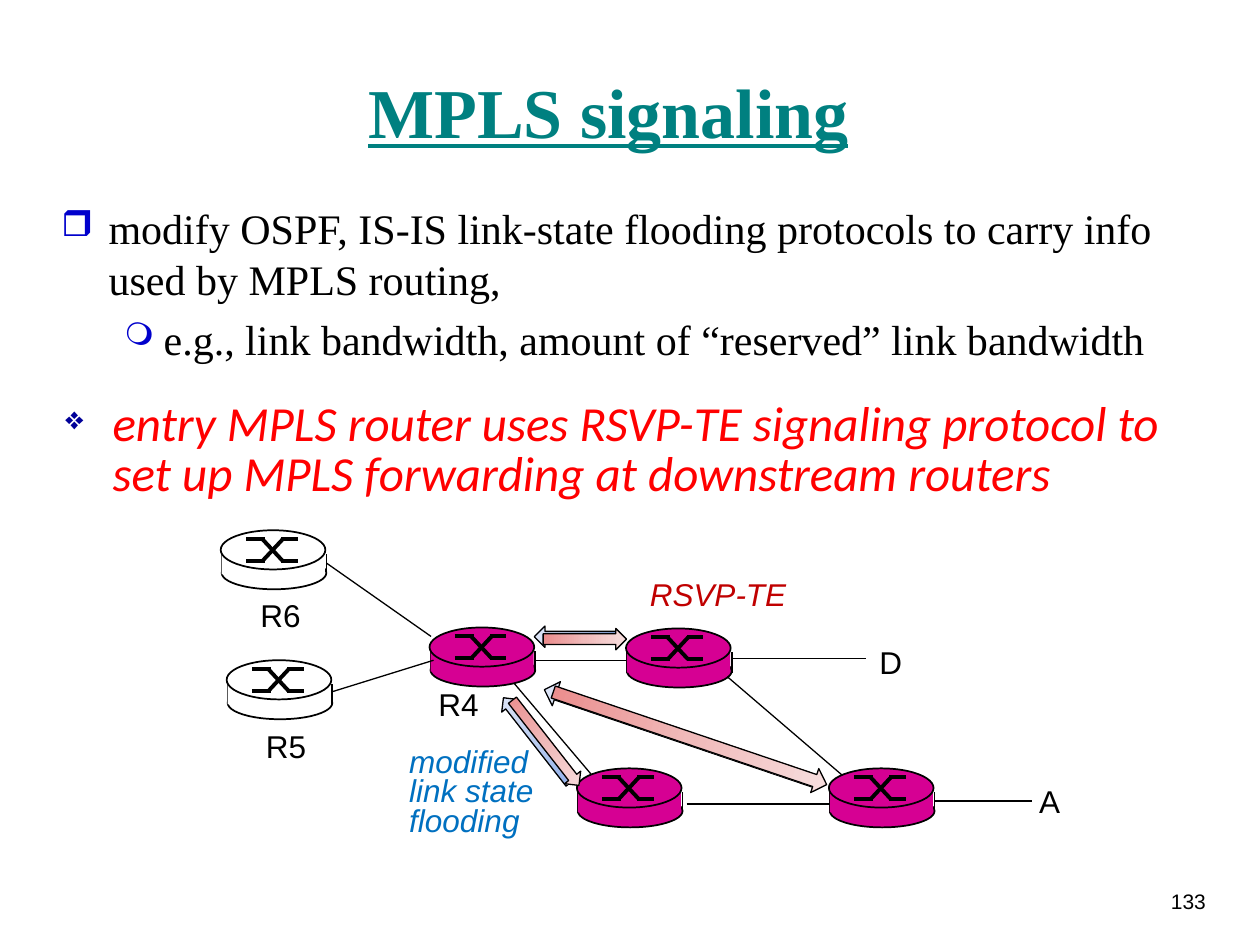
"""Build the MPLS signaling slide with its router diagram."""
import copy

import lxml.etree
import pptx
import pptx.dml.color
import pptx.enum.shapes
import pptx.enum.text
import pptx.oxml.ns
import pptx.util

Cm, Pt, qn = pptx.util.Cm, pptx.util.Pt, pptx.oxml.ns.qn
SHAPE = pptx.enum.shapes.MSO_SHAPE
ALIGN = pptx.enum.text.PP_ALIGN
COLORS = {
    "black": "000000", "white": "FFFFFF", "teal": "008080", "magenta": "D60093",
    "red": "FF0000", "dark red": "C00000", "blue": "0070C0",
    "bullet": "0000CC", "navy": "000099",
}
GRADIENTS = {
    "blue": ("8CADEA", "BACCF0", "DEE6F7"),
    "red": ("EA8C8C", "F0BABA", "F7DEDE"),
}
FONTS = {
    "title": {"name": "Times New Roman", "size": Pt(40), "bold": True, "underline": True},
    "body": {"name": "Times New Roman", "size": Pt(24)},
    "entry": {"name": "Calibri", "size": Pt(28), "italic": True},
    "label": {"name": "Arial", "size": Pt(18)},
    "note": {"name": "Arial", "size": Pt(18), "italic": True},
    "number": {"name": "Arial", "size": Pt(12)},
}


def rgb(value):
    """Return the colour for a palette name or a hex string."""
    return pptx.dml.color.RGBColor.from_string(COLORS.get(value, value))


class Deck:
    """Hold the style and the current slide, and draw each kind of element."""

    def __init__(self, width, height):
        """Start a one-slide deck with a title-only layout."""
        self.prs = pptx.Presentation()
        self.prs.slide_width, self.prs.slide_height = Cm(width), Cm(height)
        self.slide = self.prs.slides.add_slide(self.prs.slide_layouts[5])

    def run(self, p, text, font, color):
        """Add a formatted run to a paragraph."""
        r = p.add_run()
        r.text = text
        for name, value in FONTS[font].items():
            setattr(r.font, name, value)
        r.font.color.rgb = rgb(color)

    def title(self, text, x, y, w, h):
        """Place and format the title."""
        sp = self.slide.shapes.title
        sp.left, sp.top, sp.width, sp.height = Cm(x), Cm(y), Cm(w), Cm(h)
        tf = sp.text_frame
        tf.auto_size = pptx.enum.text.MSO_AUTO_SIZE.NONE
        tf.vertical_anchor = pptx.enum.text.MSO_ANCHOR.MIDDLE
        tf.paragraphs[0].alignment = ALIGN.CENTER
        self.run(tf.paragraphs[0], text, "title", "teal")

    def bullet(self, p, char, color, percent, left, hanging):
        """Give a paragraph a bullet and a hanging indent."""
        pPr = p._p.get_or_add_pPr()
        pPr.set("marL", str(Cm(left)))
        pPr.set("indent", str(-Cm(hanging)))
        clr = lxml.etree.SubElement(pPr, qn("a:buClr"))
        lxml.etree.SubElement(clr, qn("a:srgbClr"), val=COLORS[color])
        lxml.etree.SubElement(pPr, qn("a:buSzPct"), val=str(percent * 1000))
        lxml.etree.SubElement(pPr, qn("a:buChar"), char=char)

    def text(self, lines, x, y, w, h, font, color="black", wrap=False, bullets=(), **layout):
        """Add a text box with one paragraph for each line."""
        tf = self.slide.shapes.add_textbox(Cm(x), Cm(y), Cm(w), Cm(h)).text_frame
        tf.word_wrap = wrap
        for i, line in enumerate(lines):
            p = tf.add_paragraph() if i else tf.paragraphs[0]
            if bullets:
                self.bullet(p, *bullets[i])
                p.level = i
            if bullets and i:
                p.space_before = Pt(5.5)
            for name, value in layout.items():
                setattr(p, name, value)
            self.run(p, line, font, color)

    def line(self, x1, y1, x2, y2, width=0.75, group=None):
        """Draw a straight black line."""
        shapes = group.shapes if group else self.slide.shapes
        c = shapes.add_connector(pptx.enum.shapes.MSO_CONNECTOR.STRAIGHT,
                                 Cm(x1), Cm(y1), Cm(x2), Cm(y2))
        c.line.color.rgb = rgb("black")
        c.line.width = Pt(width)
        lxml.etree.SubElement(c._element.spPr, qn("a:effectLst"))

    def shape(self, kind, x, y, w, h, fill, width=1, group=None):
        """Draw a filled shape, outlined unless the width is zero."""
        shapes = group.shapes if group else self.slide.shapes
        sp = shapes.add_shape(kind, Cm(x), Cm(y), Cm(w), Cm(h))
        sp.shadow.inherit = False
        sp.fill.solid()
        sp.fill.fore_color.rgb = rgb(fill)
        if width:
            sp.line.color.rgb = rgb("black")
            sp.line.width = Pt(width)
        else:
            sp.line.fill.background()
        return sp

    def router(self, x, y, fill):
        """Draw a grouped router whose top disc starts at x, y."""
        group = self.slide.shapes.add_group_shape()
        self.shape(SHAPE.OVAL, x + 0.02, y + 0.53, 2.11, 0.66, fill, group=group)
        for side in (0.02, 2.13):
            self.line(x + side, y + 0.48, x + side, y + 0.89, 1, group)
        self.shape(SHAPE.RECTANGLE, x + 0.02, y + 0.48, 2.08, 0.41, fill, 0, group)
        self.shape(SHAPE.OVAL, x, y, 2.11, 0.79, fill, group=group)
        upper, lower = y + 0.18, y + 0.62
        for start, end in ((upper, lower), (lower, upper)):
            self.line(x + 0.51, start, x + 0.89, start, 2.25, group)
            self.line(x + 0.84, start, x + 1.25, end, 2.25, group)
            self.line(x + 1.22, end, x + 1.55, end, 2.25, group)

    def arrow(self, x, y, w, h, angle, gradient):
        """Draw a rotated block arrow with a three-stop gradient."""
        sp = self.shape(SHAPE.RIGHT_ARROW, x, y, w, h, "white", 0.75)
        sp.rotation = angle
        sp.fill.gradient()
        sp.fill.gradient_angle = 0
        stops = sp._element.spPr.find(".//" + qn("a:gsLst"))
        stops.append(copy.deepcopy(stops[0]))
        for i, (stop, color) in enumerate(zip(sp.fill.gradient_stops, GRADIENTS[gradient])):
            stop.color.rgb = rgb(color)
            stop.position = i / 2


def main():
    """Draw the slide and save it."""
    deck = Deck(25.4, 19.05)
    deck.title("MPLS signaling", 1.47, 0.64, 21.59, 3.18)
    deck.text(["133"], 22.68, 17.78, 1.88, 1.27, "number", wrap=True, alignment=ALIGN.RIGHT)
    deck.text(["modify OSPF, IS-IS link-state flooding protocols to carry info used by MPLS routing,",
               "e.g., link bandwidth, amount of “reserved” link bandwidth"],
              0.99, 3.96, 23.62, 3.86, "body", wrap=True,
              bullets=[("❒", "bullet", 85, 0.95, 0.95), ("❍", "bullet", 75, 2.06, 0.79)])
    deck.text(["entry MPLS router uses RSVP-TE signaling protocol to set up MPLS forwarding "
               "at downstream routers"],
              1.07, 7.97, 23.16, 2.36, "entry", "red", True,
              [("❖", "navy", 65, 0.95, 0.95)], line_spacing=0.85)

    for x, y, fill in ((16.71, 15.49, "magenta"), (11.63, 15.49, "magenta"),
                       (12.62, 12.67, "magenta"), (8.66, 12.65, "magenta"),
                       (4.45, 10.69, "white"), (4.57, 13.31, "white")):
        deck.router(x, y, fill)
    for link in ((6.58, 11.35, 8.69, 12.83), (6.71, 13.94, 8.74, 13.31),
                 (10.77, 13.31, 12.62, 13.31), (10.36, 13.77, 11.91, 15.6),
                 (13.84, 16.21, 16.74, 16.21), (14.66, 13.64, 16.97, 15.62),
                 (18.85, 16.15, 20.8, 16.15), (14.76, 13.28, 17.45, 13.28)):
        deck.line(*link)
    for name, x, y, w in (("D", 17.48, 12.83, 0.97), ("R4", 8.59, 13.69, 1.32),
                          ("R5", 5.11, 14.53, 1.32), ("A", 20.7, 15.65, 0.94),
                          ("R6", 5, 11.89, 1.32)):
        deck.text([name], x, y, w, 1.02, "label")

    for gradient, dx, dy, turn in (("blue", 0, 0, 180), ("red", 0.18, 0.05, 0)):
        for x, y, w, h, angle in ((10.77, 12.62, 1.68, 0.43, 0),
                                  (9.73, 14.72, 2.18, 0.41, 52),
                                  (10.82, 14.58, 5.82, 0.51, 18.7)):
            deck.arrow(x + dx, y + dy, w, h, angle + turn, gradient)
    deck.text(["modified", "link state", "flooding"], 8, 14.99, 3.23, 2.08,
              "note", "blue", line_spacing=Pt(17))
    deck.text(["RSVP-TE"], 12.85, 11.63, 3.3, 0.86, "note", "dark red", line_spacing=Pt(17))
    deck.prs.save("out.pptx")


if __name__ == "__main__":
    main()
